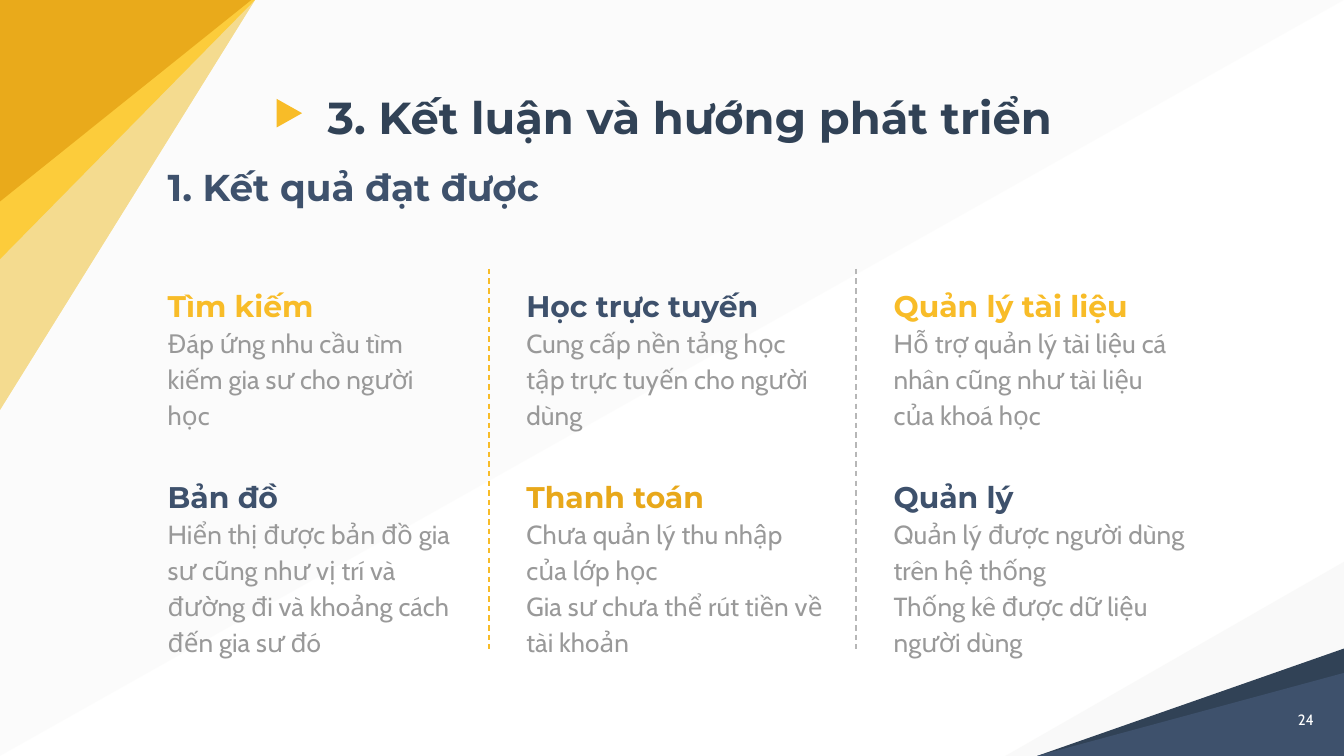
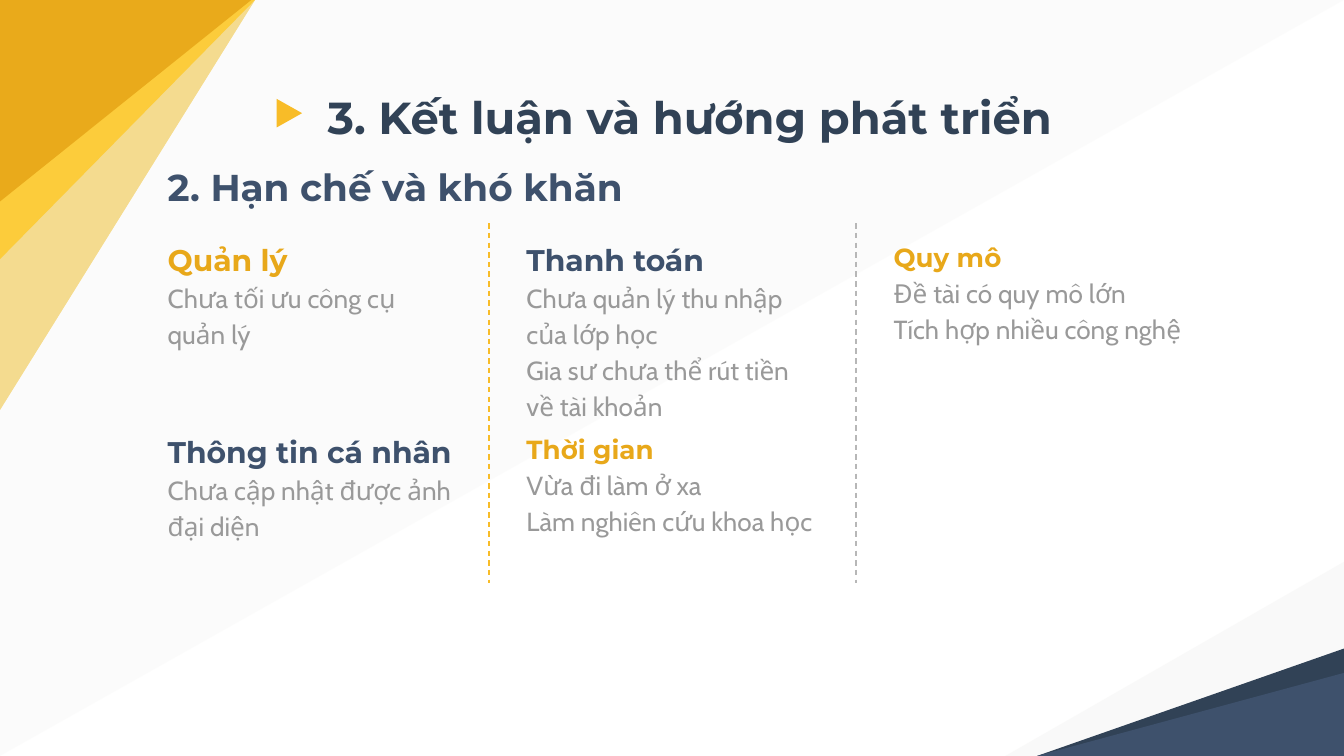
from lxml import etree
from pptx import Presentation
from pptx.dml.color import RGBColor
from pptx.enum import dml, shapes, text
from pptx.oxml import ns
from pptx.util import Cm, Pt

COLORS = {
    "wash": "EDEDEB",
    "yellow": "FCCC3B",
    "amber": "E9AA1B",
    "gold": "E8A81A",
    "accent": "F8BC28",
    "navy": "314256",
    "blue": "3E516C",
    "gray": "999999",
    "rule": "B7B7B7",
    "white": "FFFFFF",
}
HEADING_FONT, BODY_FONT = "Montserrat", "Cabin"
WIDTH, HEIGHT = 25.4, 14.29
TITLE = "3. Kết luận và hướng phát triển"
COLUMN_LEFTS = (2.92, 9.7, 16.64)
RULE_GAP = 0.46
INSET = 0.25

# Background triangles: colour, opacity in percent, corners in cm
DECORATIONS = [
    ("wash", 17, [(0, 0), (WIDTH, 0), (0, HEIGHT)]),
    ("yellow", 100, [(0, 0), (4.82, 0), (0, 7.75)]),
    ("wash", 28, [(WIDTH, HEIGHT), (19, HEIGHT), (WIDTH, 10.62)]),
    ("navy", 100, [(WIDTH, HEIGHT), (19.6, HEIGHT), (WIDTH, 12.26)]),
    ("blue", 100, [(WIDTH, HEIGHT), (19.6, HEIGHT), (WIDTH, 12.72)]),
    ("wash", 48, [(0, 0), (4.82, 0), (0, 7.75)]),
    ("yellow", 100, [(0, 0), (4.82, 0), (0, 4.9)]),
    ("amber", 100, [(0, 0), (4.75, 0), (0, 3.81)]),
    ("accent", 100, [(5.23, 1.87), (5.71, 2.14), (5.23, 2.41)]),
]

# Cards: column, row, width, heading, heading colour, heading size, lines
RESULTS = {
    "subtitle": "1. Kết quả đạt được",
    "number": "24",
    "row_tops": (5.08, 8.69),
    "card_height": 3.33,
    "rule_bottom": 12.27,
    "cards": [
        (0, 0, 5.87, "Tìm kiếm", "accent", 16,
         ["Đáp ứng nhu cầu tìm kiếm gia sư cho người học"]),
        (1, 0, 6.02, "Học trực tuyến", "blue", 16,
         ["Cung cấp nền tảng học tập trực tuyến cho người dùng"]),
        (2, 0, 6.02, "Quản lý tài liệu", "accent", 16,
         ["Hỗ trợ quản lý tài liệu cá nhân cũng như tài liệu của khoá học"]),
        (0, 1, 5.87, "Bản đồ", "blue", 16,
         ["Hiển thị được bản đồ gia sư cũng như vị trí và đường đi "
          "và khoảng cách đến gia sư đó"]),
        (1, 1, 6.17, "Thanh toán", "gold", 16,
         ["Chưa quản lý thu nhập của lớp học",
          "Gia sư chưa thể rút tiền về tài khoản"]),
        (2, 1, 6.17, "Quản lý", "blue", 16,
         ["Quản lý được người dùng trên hệ thống",
          "Thống kê được dữ liệu người dùng"]),
    ],
}
LIMITS = {
    "subtitle": "2. Hạn chế và khó khăn",
    "number": None,
    "row_tops": (4.22, 7.85),
    "card_height": 3.15,
    "rule_bottom": 11.02,
    "cards": [
        (0, 0, 5.33, "Quản lý", "gold", 16, ["Chưa tối ưu công cụ quản lý"]),
        (1, 0, 6.02, "Thanh toán", "blue", 16,
         ["Chưa quản lý thu nhập của lớp học",
          "Gia sư chưa thể rút tiền về tài khoản"]),
        (2, 0, 6.02, "Quy mô", "gold", 14,
         ["Đề tài có quy mô lớn", "Tích hợp nhiều công nghệ"]),
        (0, 1, 6.22, "Thông tin cá nhân", "blue", 16,
         ["Chưa cập nhật được ảnh đại diện"]),
        (1, 1, 6.4, "Thời gian", "gold", 14,
         ["Vừa đi làm ở xa", "Làm nghiên cứu khoa học"]),
    ],
}


def rgb(color):
    return RGBColor.from_string(COLORS[color])


def style_paragraph(para, font, size, color, bold=False):
    para.alignment = text.PP_ALIGN.LEFT
    para.space_before = Pt(0)
    para.font.name = font
    para.font.size = Pt(size)
    para.font.bold = bold
    para.font.color.rgb = rgb(color)


def set_frame(frame, inset=INSET):
    frame.word_wrap = True
    frame.auto_size = text.MSO_AUTO_SIZE.NONE
    frame.margin_left = frame.margin_right = Cm(INSET)
    frame.margin_top = frame.margin_bottom = Cm(inset)


def place(box, left, top, width, height):
    box.left, box.top = Cm(left), Cm(top)
    box.width, box.height = Cm(width), Cm(height)


def add_triangle(page, color, opacity, corners):
    points = [(Cm(x), Cm(y)) for x, y in corners]
    builder = page.shapes.build_freeform(*points[0])
    builder.add_line_segments(points[1:], close=True)
    triangle = builder.convert_to_shape()
    triangle.shadow.inherit = False
    triangle.fill.solid()
    triangle.fill.fore_color.rgb = rgb(color)
    triangle.line.fill.background()
    if opacity < 100:
        tint = next(triangle.element.iter(ns.qn("a:srgbClr")))
        etree.SubElement(tint, ns.qn("a:alpha"), val=str(opacity * 1000))
    return triangle


def decorate_layout(layout, page):
    """Build the triangles on a page, then move them behind the layout's text."""
    for position, decoration in enumerate(DECORATIONS, start=2):
        triangle = add_triangle(page, *decoration)
        layout.shapes.element.insert(position, triangle.element)


def fill_title(page):
    box = page.shapes.title
    place(box, 5.94, 1.32, 17.15, 1.65)
    set_frame(box.text_frame)
    box.text_frame.vertical_anchor = text.MSO_ANCHOR.BOTTOM
    box.text_frame.text = TITLE
    style_paragraph(box.text_frame.paragraphs[0], HEADING_FONT, 24, "navy", True)


def fill_subtitle(page, subtitle):
    box = page.placeholders[1]
    place(box, 2.92, 2.97, 19.63, 9.3)
    set_frame(box.text_frame, inset=0.13)
    box.text_frame.vertical_anchor = text.MSO_ANCHOR.TOP
    box.text_frame.text = subtitle
    para = box.text_frame.paragraphs[0]
    style_paragraph(para, HEADING_FONT, 20, "blue", True)
    # No bullet and no hanging indent
    properties = para._p.get_or_add_pPr()
    properties.set("marL", "0")
    properties.set("indent", "0")
    bullet = etree.Element(ns.qn("a:buNone"))
    properties.find(ns.qn("a:defRPr")).addprevious(bullet)


def add_text(parent, left, top, width, height):
    box = parent.shapes.add_textbox(Cm(left), Cm(top), Cm(width), Cm(height))
    set_frame(box.text_frame)
    return box.text_frame


def add_card(group, left, top, width, height, heading, color, size, lines):
    frame = add_text(group, left, top, width, height)
    frame.text = "\n".join([heading, *lines])
    for para in frame.paragraphs:
        style_paragraph(para, BODY_FONT, 14, "gray")
        para.line_spacing = 1.15
    style_paragraph(frame.paragraphs[0], HEADING_FONT, size, color, True)


def add_rule(group, x, top, bottom, color):
    rule = group.shapes.add_connector(
        shapes.MSO_CONNECTOR.STRAIGHT, Cm(x), Cm(top), Cm(x), Cm(bottom))
    rule.line.color.rgb = rgb(color)
    rule.line.width = Pt(0.75)
    rule.line.dash_style = dml.MSO_LINE.DASH
    etree.SubElement(rule.element.spPr, ns.qn("a:effectLst"))


def add_number(page, number):
    frame = add_text(page, 24.28, 13.18, 1.12, 1.09)
    frame.text = number
    style_paragraph(frame.paragraphs[0], BODY_FONT, 8, "white")


def fill_page(page, content):
    fill_title(page)
    fill_subtitle(page, content["subtitle"])
    if content["number"]:
        add_number(page, content["number"])
    # Cards and the dashed rules between their columns
    tops = content["row_tops"]
    group = page.shapes.add_group_shape()
    for column, row, width, *card in content["cards"]:
        add_card(group, COLUMN_LEFTS[column], tops[row], width,
                 content["card_height"], *card)
    for left, color in zip(COLUMN_LEFTS[1:], ("accent", "rule")):
        add_rule(group, left - RULE_GAP, tops[0], content["rule_bottom"], color)


def main():
    deck = Presentation()
    deck.slide_width, deck.slide_height = Cm(WIDTH), Cm(HEIGHT)
    layout = deck.slide_layouts[1]
    pages = [deck.slides.add_slide(layout) for _ in range(2)]
    decorate_layout(layout, pages[0])
    for page, content in zip(pages, (RESULTS, LIMITS)):
        fill_page(page, content)
    deck.save("out.pptx")


if __name__ == "__main__":
    main()
